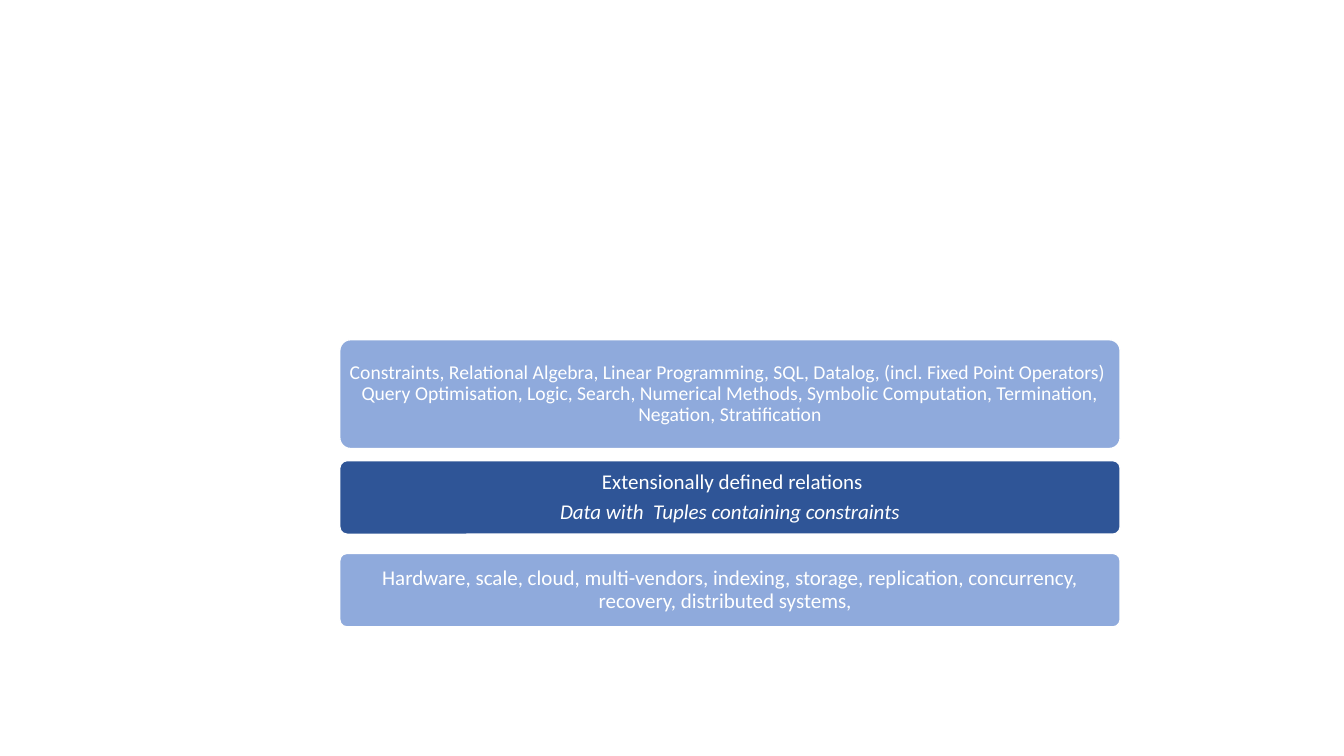
from dataclasses import dataclass

from pptx import Presentation
from pptx.dml.color import RGBColor
from pptx.enum.shapes import MSO_SHAPE
from pptx.enum.text import MSO_ANCHOR, PP_ALIGN
from pptx.slide import Slide
from pptx.util import Inches, Pt

ROUNDED = MSO_SHAPE.ROUNDED_RECTANGLE
MIDDLE = MSO_ANCHOR.MIDDLE
CENTER = PP_ALIGN.CENTER

WHITE = RGBColor(0xFF, 0xFF, 0xFF)
LIGHT_BLUE = RGBColor(0x8F, 0xAA, 0xDC)
DARK_BLUE = RGBColor(0x2F, 0x55, 0x97)

SLIDE_WIDTH, SLIDE_HEIGHT = 13.33, 7.5
BAND_LEFT, BAND_WIDTH = 3.37, 7.74
TEXT_INSET = Inches(0.06)
BLANK_LAYOUT = 6


@dataclass(frozen=True)
class Band:
    """One layer of the stack; its paragraphs after the first are italic."""
    top: float
    height: float
    fill: RGBColor
    size: int
    paragraphs: tuple[str, ...]


BANDS = (
    Band(3.37, 1.08, LIGHT_BLUE, 14, (
        "Constraints, Relational Algebra, Linear Programming, SQL, Datalog, "
        "(incl. Fixed Point Operators) \v"
        "Query Optimisation, Logic, Search, Numerical Methods, "
        "Symbolic Computation, Termination, Negation, Stratification",)),
    Band(4.57, 0.73, DARK_BLUE, 15, (
        " Extensionally defined relations",
        "Data with  Tuples containing constraints")),
    Band(5.49, 0.73, LIGHT_BLUE, 15, (
        "Hardware, scale, cloud, multi-vendors, indexing, storage, "
        "replication, concurrency, recovery, distributed systems,  ",)),
)


def draw_band(slide: Slide, band: Band) -> None:
    layer = slide.shapes.add_shape(
        ROUNDED, Inches(BAND_LEFT), Inches(band.top),
        Inches(BAND_WIDTH), Inches(band.height))
    layer.adjustments[0] = 0.1
    layer.shadow.inherit = False
    layer.fill.solid()
    layer.fill.fore_color.rgb = band.fill
    layer.line.color.rgb = WHITE
    layer.line.width = Pt(1)

    frame = layer.text_frame
    frame.word_wrap = True
    frame.vertical_anchor = MIDDLE
    frame.margin_left = frame.margin_right = TEXT_INSET
    frame.margin_top = frame.margin_bottom = TEXT_INSET
    frame.text = "\n".join(band.paragraphs)
    for index, paragraph in enumerate(frame.paragraphs):
        paragraph.alignment = CENTER
        paragraph.line_spacing = 0.9
        paragraph.space_after = Pt(round(0.35 * band.size))
        for run in paragraph.runs:
            run.font.name = "Calibri"
            run.font.size = Pt(band.size)
            run.font.color.rgb = WHITE
            run.font.italic = index > 0


def main() -> None:
    presentation = Presentation()
    presentation.slide_width = Inches(SLIDE_WIDTH)
    presentation.slide_height = Inches(SLIDE_HEIGHT)
    slide = presentation.slides.add_slide(
        presentation.slide_layouts[BLANK_LAYOUT])
    for band in BANDS:
        draw_band(slide, band)
    presentation.save("out.pptx")


if __name__ == "__main__":
    main()
